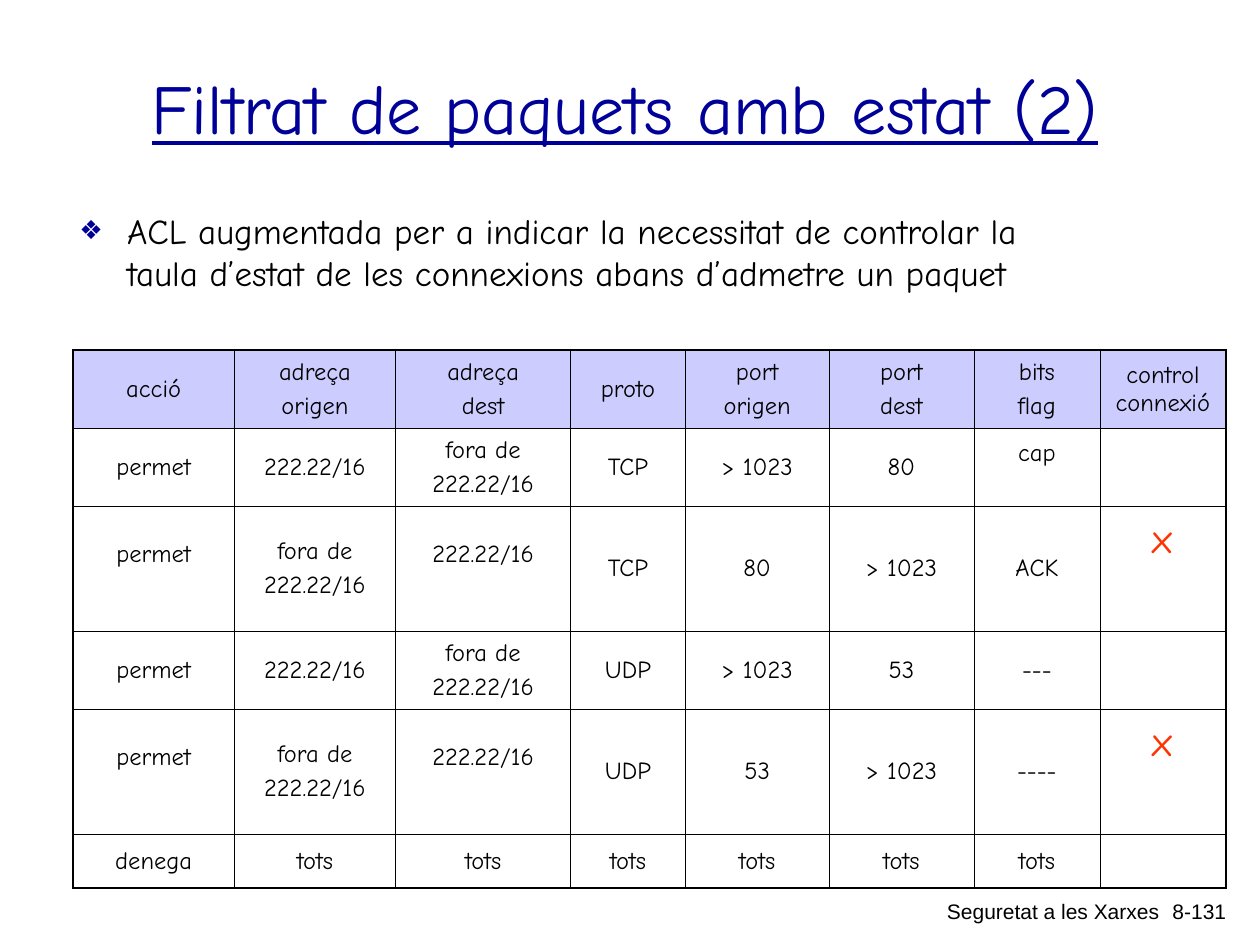
from lxml.etree import SubElement
from pptx import Presentation
from pptx.dml.color import RGBColor
from pptx.enum.text import MSO_ANCHOR, MSO_AUTO_SIZE, PP_ALIGN
from pptx.oxml.ns import qn
from pptx.util import Inches, Pt

BLACK, NAVY, LAVENDER, RED = "000000", "000099", "CCCCFF", "FF3300"
HAND = "Comic Neue"


def color(hex_value):
    return RGBColor.from_string(hex_value)


def format_font(paragraph, hex_value=BLACK, **values):
    for name, value in values.items():
        setattr(paragraph.font, name, value)
    paragraph.font.color.rgb = color(hex_value)


prs = Presentation()
prs.slide_width, prs.slide_height = Inches(10), Inches(7.5)
slide = prs.slides.add_slide(prs.slide_layouts[1])

# Title and statement
heading, statement = slide.placeholders
frames = [
    (heading, (0.46, 0.22, 9, 1.25), MSO_ANCHOR.MIDDLE, "Filtrat de paquets amb estat (2)"),
    (statement, (0.53, 1.61, 8.22, 0.83), MSO_ANCHOR.TOP,
     "ACL augmentada per a indicar la necessitat de controlar la taula d’estat "
     "de les connexions abans d’admetre un paquet"),
]
for holder, box, anchor, text in frames:
    holder.left, holder.top, holder.width, holder.height = map(Inches, box)
    frame = holder.text_frame
    frame.text = text
    frame.word_wrap = True
    frame.auto_size = MSO_AUTO_SIZE.NONE
    frame.vertical_anchor = anchor

heading_line = heading.text_frame.paragraphs[0]
heading_line.alignment = PP_ALIGN.CENTER
format_font(heading_line, NAVY, name=HAND, size=Pt(40), underline=True)

statement_line = statement.text_frame.paragraphs[0]
statement_line.space_before = Pt(0)
bullet = statement_line._p.get_or_add_pPr()
bullet.set("marL", str(Inches(0.38)))
bullet.set("indent", str(Inches(-0.38)))
SubElement(SubElement(bullet, qn("a:buClr")), qn("a:srgbClr"), val=NAVY)
SubElement(bullet, qn("a:buSzPct"), val="75000")
SubElement(bullet, qn("a:buChar"), char="❖")
format_font(statement_line, name=HAND, size=Pt(20))

# Access control list
column_widths = [1.28, 1.28, 1.39, 0.91, 1.14, 1.15, 1, 1]
row_heights = [0.62, 0.62, 0.99, 0.62, 0.99, 0.43]
inside, outside = "222.22/16", "fora de\n222.22/16"
rules = [
    ["acció", "adreça\norigen", "adreça\ndest", "proto", "port\norigen", "port\ndest",
     "bits\nflag", "control connexió"],
    ["permet", inside, outside, "TCP", "> 1023", "80", "cap", ""],
    ["permet", outside, inside, "TCP", "80", "> 1023", "ACK", "x"],
    ["permet", inside, outside, "UDP", "> 1023", "53", "---", ""],
    ["permet", outside, inside, "UDP", "53", "> 1023", "----", "x"],
    ["denega"] + ["tots"] * 6 + [""],
]
raised_cells = {(1, 6), (2, 0), (2, 2), (4, 0), (4, 2)}
last_row, last_column = len(rules) - 1, len(column_widths) - 1

acl = slide.shapes.add_table(
    len(rules), len(column_widths), Inches(0.58), Inches(2.78),
    Inches(sum(column_widths)), Inches(sum(row_heights))).table
acl.first_row = acl.horz_banding = False
for column, width in zip(acl.columns, column_widths):
    column.width = Inches(width)
for row, height in zip(acl.rows, row_heights):
    row.height = Inches(height)

for r, rule in enumerate(rules):
    for c, text in enumerate(rule):
        cell = acl.cell(r, c)
        cell.text = text
        cell.vertical_anchor = MSO_ANCHOR.MIDDLE
        is_mark = text == "x"
        lift = 0.46 if is_mark else 0.22 if (r, c) in raised_cells else 0
        cell.margin_bottom = Inches(0.05 + lift)
        for i, line in enumerate(cell.text_frame.paragraphs):
            line.alignment = PP_ALIGN.CENTER
            line.space_before = Pt(3.5 if i else 0)
            format_font(line, RED if is_mark else BLACK, name=HAND, size=Pt(24 if is_mark else 14))

        outer_sides = {"lnL": c == 0, "lnR": c == last_column, "lnT": r == 0, "lnB": r == last_row}
        for side, is_outer in outer_sides.items():
            border = SubElement(cell._tc.get_or_add_tcPr(), qn(f"a:{side}"),
                                w=str(Pt(1.08 if is_outer else 0.45)))
            SubElement(SubElement(border, qn("a:solidFill")), qn("a:srgbClr"), val=BLACK)
        if r == 0:
            cell.fill.solid()
            cell.fill.fore_color.rgb = color(LAVENDER)
        else:
            cell.fill.background()

# Footer
footers = [
    ("8-131", (9.09, 7.08, 0.74, 0.33)),
    ("Seguretat a les Xarxes", (5.08, 7.08, 4.22, 0.34)),
]
for text, box in footers:
    footer = slide.shapes.add_textbox(*map(Inches, box)).text_frame
    footer.word_wrap = True
    footer.text = text
    footer.paragraphs[0].alignment = PP_ALIGN.RIGHT
    format_font(footer.paragraphs[0], name="Arial", size=Pt(12))

prs.save("out.pptx")
